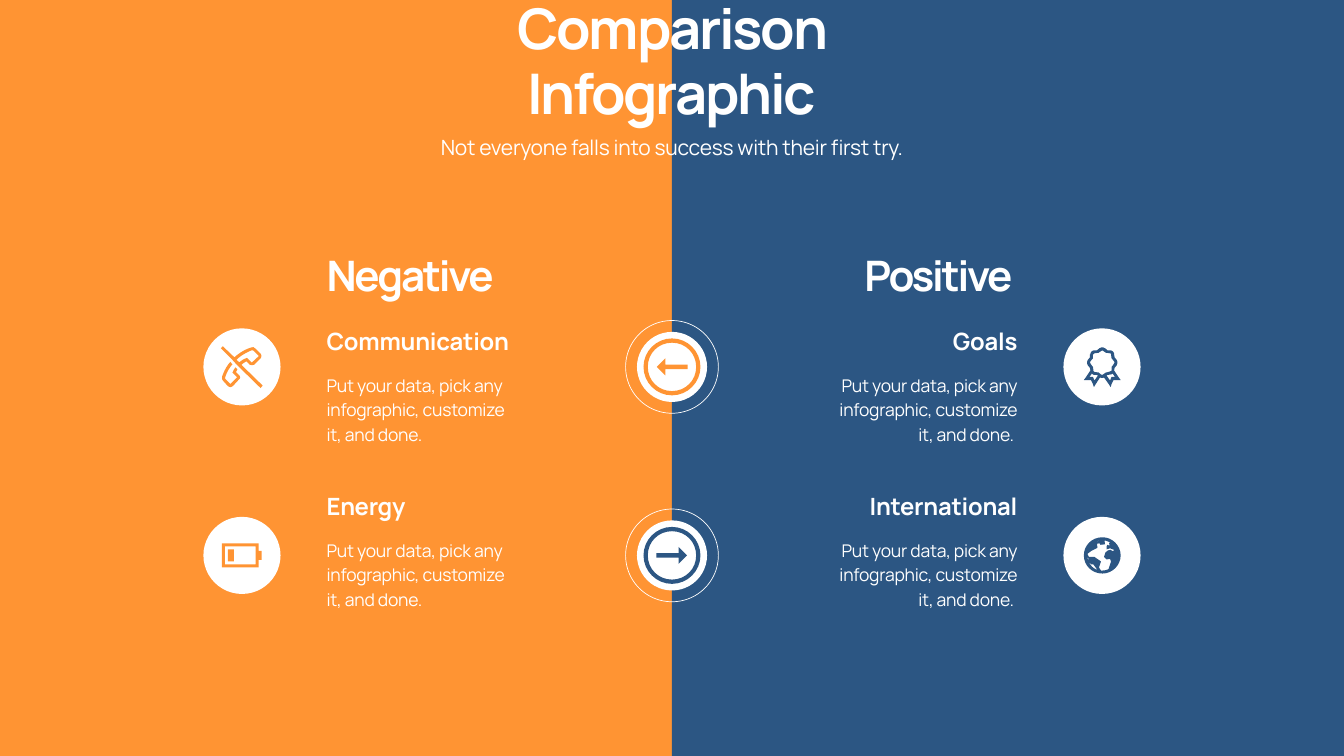
from pptx import Presentation
from pptx.dml.color import RGBColor
from pptx.enum.shapes import MSO_SHAPE as Shape
from pptx.enum.text import MSO_ANCHOR as Anchor, PP_ALIGN as Align
from pptx.util import Inches, Pt

# Content
COLORS = {"negative": "FF9433", "positive": "2C5683", "white": "FFFFFF"}
FONT = "Manrope"
TITLE = "Comparison Infographic"
SUBTITLE = " Not everyone falls into success with their first try. "
BODY = "Put your data, pick any infographic, customize it, and done. "

# Icon outlines in hundredths of an inch, from the icon's top left corner
PHONE = """M 19 31 C 12 39 7 48 3 59 C 2 63 2 66 5 69 L 14 79 C 16 80 17 81 19 81
C 21 81 22 80 24 79 L 36 66 C 39 64 39 60 36 57 L 30 51 C 31 50 32 48 33 46 L 29 42
C 26 46 24 50 24 51 L 23 52 32 61 32 62 19 75 9 65 C 9 64 8 63 9 61
C 12 51 17 43 23 36 Z
M 62 8 C 63 8 64 8 65 9 L 75 19 75 20 62 32 61 32 52 23 50 24 C 50 24 43 26 37 32
L 31 27 C 42 16 55 11 61 8 Z
M 4 0 L 0 4 23 27 32 37 79 83 83 78 41 37 C 45 33 49 31 51 30 L 57 36 57 37 59 37
C 61 38 62 38 64 37 L 66 37 79 24 C 81 21 81 17 79 15 L 69 5 C 68 4 66 3 65 2
C 63 2 61 2 59 3 C 52 5 39 11 27 22 Z"""
BATTERY = """M 12 36 L 24 36 24 12 12 12 Z M 6 6 L 67 6 67 42 6 42 Z
M 0 0 L 0 48 73 48 73 33 79 33 79 15 73 15 73 0 Z"""
RIBBON = """M 16 52 C 17 54 19 54 20 55 L 26 55 28 56 21 66 19 61 18 59 11 59 Z
M 57 52 L 62 59 55 59 54 61 52 66 45 56 47 55 53 54 C 55 54 56 53 57 52 Z
M 37 6 L 38 7 44 11 45 11 52 12 C 53 12 54 13 54 15 L 55 22 56 23 60 28
C 61 29 61 31 60 32 L 56 38 55 39 55 46 54 47 52 48 45 50 44 50 38 54
C 37 55 36 55 34 54 L 29 50 28 50 21 49 19 47 19 46 18 39 17 38 13 32
C 12 31 12 29 13 28 L 17 23 18 22 18 15 C 19 14 20 13 21 12 L 28 11 29 11 35 7 Z
M 37 0 C 35 0 33 1 31 2 L 26 6 20 6 C 16 7 13 10 13 14 L 12 14 12 20 8 25
C 6 28 6 33 8 36 L 12 41 13 46 3 61 0 65 14 65 18 73 20 79 23 74 32 60
C 35 61 38 61 40 60 L 50 74 53 79 55 73 59 65 73 65 70 61 60 46 61 41 65 36
C 67 32 67 28 65 25 L 61 20 60 14 C 60 10 57 7 53 6 L 47 6 42 2 C 40 1 38 0 37 0 Z"""
GLOBE = """M 7 38 L 9 42 9 48 15 54 19 54 27 65 C 16 61 8 51 7 38 Z
M 33 6 L 28 8 26 8 C 28 7 31 6 33 6 Z
M 37 6 C 42 6 48 8 53 11 L 50 11 51 17 47 15 45 18 45 24 52 22 60 25 58 28 53 25
48 26 43 30 40 39 45 44 52 43 54 48 49 63 C 46 65 41 66 37 66 L 34 66 30 60 34 48
21 39 10 39 7 33 15 27 27 21 26 13 31 12 33 15 42 14 41 7 34 6 Z
M 37 0 C 16 0 0 16 0 36 C 0 56 16 72 37 72 C 56 72 73 56 73 36 C 73 16 56 0 37 0 Z"""
# Arrow in a ring, drawn around its centre
ARROW = """M -13 -17 L -30 0 -13 17 -13 4.5 31 4.5 31 -4.5 -13 -4.5 Z
M 0 -48 C 27 -48 48 -27 48 0 C 48 27 27 48 0 48 C -27 48 -48 27 -48 0
C -48 -27 -27 -48 0 -48 Z
M 0 -56.5 C 31 -56.5 56.5 -31 56.5 0 C 56.5 31 31 56.5 0 56.5
C -31 56.5 -56.5 31 -56.5 0 C -56.5 -31 -31 -56.5 0 -56.5 Z"""

# Each item: heading, icon outline, icon left and top
SIDES = [
    ("negative", "Negative", Align.LEFT,
     [("Communication", PHONE, 4.38, 6.87), ("Energy", BATTERY, 4.4, 10.78)]),
    ("positive", "Positive", Align.RIGHT,
     [("Goals", RIBBON, 21.5, 6.89), ("International", GLOBE, 21.5, 10.66)]),
]

# Layout
WIDTH, HEIGHT = 26.66, 15
MIDDLE = WIDTH / 2
ROW_CENTERS = (7.28, 11.02)
HEADING_TOPS = (6.51, 9.78)
TEXT_LEFTS = (6.38, 16.39)
BADGE_CENTERS = (4.8, 21.86)

deck = Presentation()
deck.slide_width, deck.slide_height = Inches(WIDTH), Inches(HEIGHT)
shapes = deck.slides.add_slide(deck.slide_layouts[6]).shapes


def rgb(name):
    return RGBColor.from_string(COLORS[name])


def paint(shape, fill=None, line=None):
    shape.shadow.inherit = False
    if fill:
        shape.fill.solid()
        shape.fill.fore_color.rgb = rgb(fill)
    else:
        shape.fill.background()
    if line:
        shape.line.color.rgb = rgb(line)
        shape.line.width = Pt(1)
    else:
        shape.line.fill.background()


def add_circle(x, y, size, fill=None, line=None):
    box = (x - size / 2, y - size / 2, size, size)
    paint(shapes.add_shape(Shape.OVAL, *map(Inches, box)), fill, line)


def contours(outline, steps=8):
    """Split an outline into lists of points, with curves cut into short steps."""
    for part in outline.split("Z"):
        points, command, numbers = [], "", []
        for token in part.split():
            if token in "MLC":
                command = token
                continue
            numbers.append(float(token))
            if len(numbers) < (6 if command == "C" else 2):
                continue
            if command == "C":
                ends = [points[-1], *zip(numbers[::2], numbers[1::2])]
                for step in range(1, steps + 1):
                    t = step / steps
                    weights = ((1 - t) ** 3, 3 * t * (1 - t) ** 2, 3 * t * t * (1 - t), t ** 3)
                    points.append(tuple(sum(w * end[axis] for w, end in zip(weights, ends))
                                        for axis in (0, 1)))
            else:
                points.append(tuple(numbers))
            numbers = []
        if points:
            yield points


def add_icon(outline, x, y, color, flip=1):
    builder = None
    for contour in contours(outline):
        start, *rest = [(Inches(x + flip * px / 100), Inches(y + py / 100))
                        for px, py in contour]
        if builder is None:
            builder = shapes.build_freeform(*start)
        else:
            builder.move_to(*start)
        builder.add_line_segments(rest, close=True)
    paint(builder.convert_to_shape(), color)


def add_text(words, box, size, align, bold=False, leading=None, tracking=-0.3,
             anchor=Anchor.TOP, side_inset=0.1):
    frame = shapes.add_textbox(*map(Inches, box)).text_frame
    frame.word_wrap = True
    frame.vertical_anchor = anchor
    frame.margin_left = frame.margin_right = Inches(side_inset)
    paragraph = frame.paragraphs[0]
    paragraph.alignment = align
    if leading:
        paragraph.line_spacing = Pt(leading)
    run = paragraph.add_run()
    run.text = words
    run.font.name, run.font.size, run.font.bold = FONT, Pt(size), bold
    run.font.color.rgb = rgb("white")
    run.font._element.set("spc", str(round(tracking * 100)))


# Two halves
for half, (color, *_) in enumerate(SIDES):
    box = (half * MIDDLE, 0, MIDDLE, HEIGHT)
    paint(shapes.add_shape(Shape.RECTANGLE, *map(Inches, box)), color)

# Arrows on the dividing line
for y, color, flip in zip(ROW_CENTERS, ("negative", "positive"), (1, -1)):
    add_circle(MIDDLE, y, 1.39, fill="white")
    add_circle(MIDDLE, y, 1.84, line="white")
    add_icon(ARROW, MIDDLE, y, color, flip)

# Title and subtitle
add_text(TITLE, (7.26, 1.13, 12.13, 1.42), 80, Align.CENTER, True, 94, -3.3, Anchor.BOTTOM, 1)
add_text(SUBTITLE, (8.48, 2.53, 9.7, 0.64), 30, Align.CENTER, leading=42)

# Both sides
for (color, name, align, items), left, badge_x in zip(SIDES, TEXT_LEFTS, BADGE_CENTERS):
    add_text(name, (left, 4.88, 3.79, 1.11), 60, align, True, None, -3.3, Anchor.BOTTOM)
    for (heading, icon, icon_x, icon_y), y, top in zip(items, ROW_CENTERS, HEADING_TOPS):
        add_circle(badge_x, y, 1.53, fill="white")
        add_icon(icon, icon_x, icon_y, color)
        add_text(heading, (left, top, 3.89, 0.59), 34, align, True, 35)
        add_text(BODY, (left, top + 0.81, 3.89, 1.53), 25, align, leading=35)

deck.save("out.pptx")
